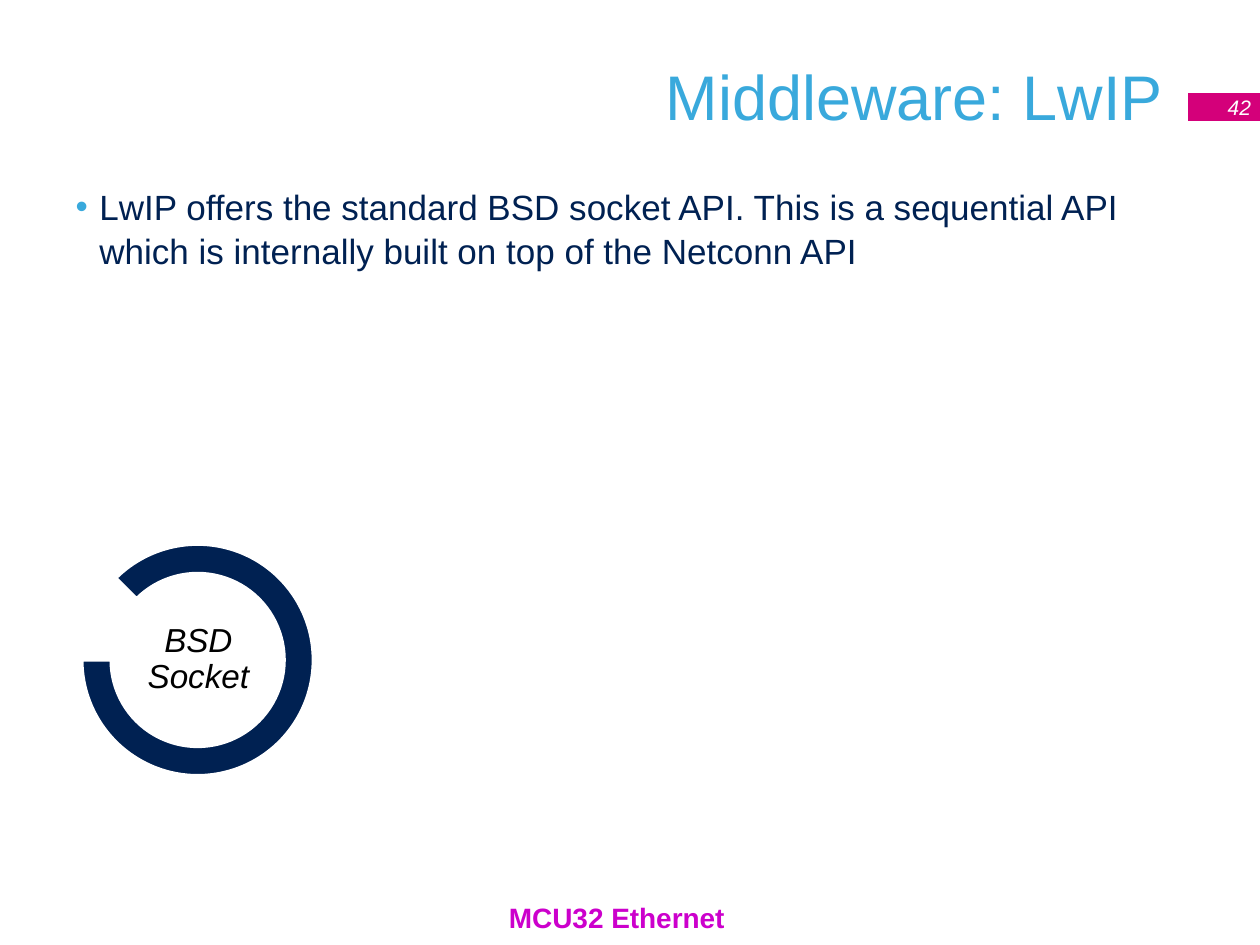
from dataclasses import dataclass

from lxml import etree
from pptx import Presentation
from pptx.dml.color import RGBColor
from pptx.enum.shapes import MSO_SHAPE
from pptx.enum.text import MSO_ANCHOR, MSO_AUTO_SIZE, PP_ALIGN
from pptx.oxml.ns import qn
from pptx.util import Cm, Pt

RECTANGLE, BLOCK_ARC = MSO_SHAPE.RECTANGLE, MSO_SHAPE.BLOCK_ARC
LEFT, CENTER, RIGHT = PP_ALIGN.LEFT, PP_ALIGN.CENTER, PP_ALIGN.RIGHT
TOP, MIDDLE = MSO_ANCHOR.TOP, MSO_ANCHOR.MIDDLE
NO_AUTOFIT = MSO_AUTO_SIZE.NONE


@dataclass(frozen=True)
class Theme:
    font: str = "Arial"
    sky: str = "39A9DC"
    navy: str = "002152"
    pink: str = "D4007A"
    magenta: str = "CC00CC"
    white: str = "FFFFFF"
    black: str = "000000"
    title_size: int = 36
    body_size: int = 20
    label_size: int = 19
    footer_size: int = 16
    number_size: int = 12


THEME = Theme()


def place(item, left, top, width, height):
    item.left, item.top = Cm(left), Cm(top)
    item.width, item.height = Cm(width), Cm(height)


def write(item, text, size, color, align, anchor=MIDDLE, wrap=True,
          bold=False, italic=False):
    """Fill an item with one styled paragraph and return the paragraph."""
    frame = item.text_frame
    frame.text = text
    frame.auto_size = NO_AUTOFIT
    frame.word_wrap = wrap
    frame.vertical_anchor = anchor
    paragraph = frame.paragraphs[0]
    paragraph.alignment = align
    paragraph.space_before = Pt(0)
    font = paragraph.font
    font.name, font.size = THEME.font, Pt(size)
    font.bold, font.italic = bold, italic
    font.color.rgb = RGBColor.from_string(color)
    return paragraph


def add_bullet(paragraph, color, indent):
    properties = paragraph._p.get_or_add_pPr()
    properties.set("marL", str(Cm(indent)))
    properties.set("indent", str(-Cm(indent)))
    bullet_color = etree.Element(qn("a:buClr"))
    etree.SubElement(bullet_color, qn("a:srgbClr"), val=color)
    bullet_font = etree.Element(qn("a:buFont"), typeface=THEME.font)
    bullet_char = etree.Element(qn("a:buChar"), char="•")
    # Bullet elements come before the default run properties
    run_defaults = properties.find(qn("a:defRPr"))
    for element in (bullet_color, bullet_font, bullet_char):
        run_defaults.addprevious(element)


def add_filled(slide, preset, box, color):
    filled = slide.shapes.add_shape(preset, *map(Cm, box))
    filled.shadow.inherit = False
    filled.fill.solid()
    filled.fill.fore_color.rgb = RGBColor.from_string(color)
    filled.line.fill.background()
    return filled


def add_label(slide, box, text, size, color, align, **style):
    label = slide.shapes.add_textbox(*map(Cm, box))
    return label, write(label, text, size, color, align, **style)


def add_ring(slide, box):
    ring = add_filled(slide, BLOCK_ARC, box, THEME.navy)
    ring.line.color.rgb = RGBColor.from_string(THEME.white)
    ring.line.width = Pt(2)
    # Start angle, end angle, band thickness
    for index, value in enumerate((135, 108, 0.127)):
        ring.adjustments[index] = value


def main():
    deck = Presentation()
    deck.slide_width, deck.slide_height = Cm(25.4), Cm(19.05)
    slide = deck.slides.add_slide(deck.slide_layouts[1])

    # Title and body
    title, body = slide.shapes.title, slide.placeholders[1]
    place(title, 1.27, 0.33, 22.43, 3.18)
    write(title, "Middleware: LwIP", THEME.title_size, THEME.sky, RIGHT)
    place(body, 1.27, 3.56, 22.86, 1.96)
    point = write(
        body,
        "LwIP offers the standard BSD socket API. This is a sequential API "
        "which is internally built on top of the Netconn API",
        THEME.body_size, THEME.navy, LEFT, anchor=TOP)
    point.line_spacing = 1.05
    point.space_after = Pt(6)
    add_bullet(point, THEME.sky, 0.48)

    # Page number tag
    number_tag = add_filled(slide, RECTANGLE, (23.95, 1.88, 1.52, 0.56),
                            THEME.pink)
    write(number_tag, "42", THEME.number_size, THEME.white, RIGHT, italic=True)

    # Socket ring with its label
    add_ring(slide, (1.65, 10.97, 4.67, 4.67))
    label, caption = add_label(slide, (2.49, 12.55, 3.02, 1.5), "BSD Socket",
                               THEME.label_size, THEME.black, CENTER,
                               italic=True)
    caption.line_spacing = 0.9
    frame = label.text_frame
    frame.margin_left = frame.margin_right = Cm(0.03)
    frame.margin_top = frame.margin_bottom = Cm(0.03)

    # Footer
    add_label(slide, (10.03, 18.03, 4.83, 0.94), "MCU32 Ethernet",
              THEME.footer_size, THEME.magenta, RIGHT, anchor=TOP,
              wrap=False, bold=True)

    deck.save("out.pptx")


if __name__ == "__main__":
    main()
